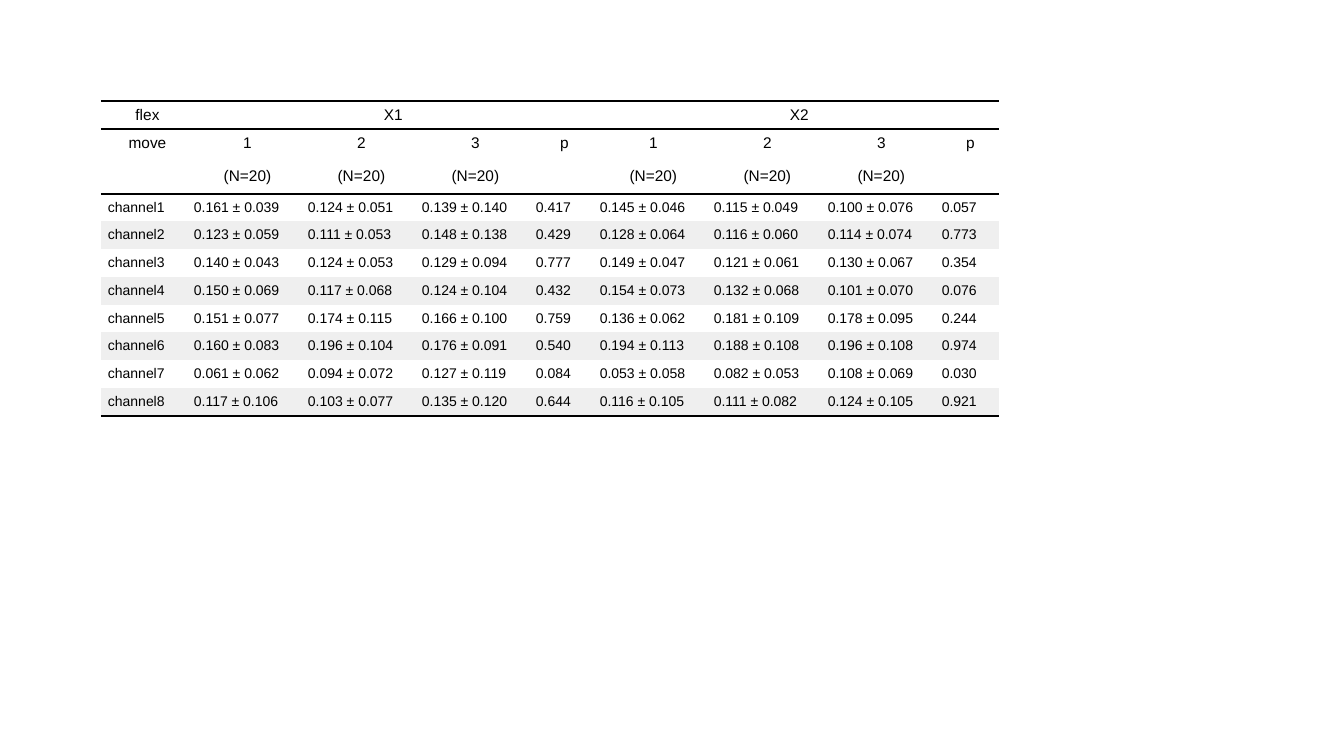
from pptx import Presentation
from pptx import util as u
from pptx.dml.color import RGBColor
from pptx.enum import text
from pptx.oxml import parse_xml
from pptx.oxml.ns import nsdecls

PX = 914400 / 100.8
COLORS = {"ink": "000000", "stripe": "EFEFEF"}


def px(n):
    return u.Emu(round(n * PX))


def add_border(tcPr, side, width):
    if width:
        fill = f'<a:solidFill><a:srgbClr val="{COLORS["ink"]}"/></a:solidFill>'
    else:
        fill = "<a:noFill/>"
    tcPr.append(parse_xml(
        f'<a:ln{side} {nsdecls("a")} w="{u.Pt(width)}">{fill}</a:ln{side}>'))


header = [
    ["flex", "X1", "", "", "", "X2", "", "", ""],
    ["move"] + ["1", "2", "3", "p"] * 2,
    [""] + ["(N=20)", "(N=20)", "(N=20)", ""] * 2,
]
channels = [
    "0.161 ± 0.039|0.124 ± 0.051|0.139 ± 0.140|0.417|0.145 ± 0.046|0.115 ± 0.049|0.100 ± 0.076|0.057",
    "0.123 ± 0.059|0.111 ± 0.053|0.148 ± 0.138|0.429|0.128 ± 0.064|0.116 ± 0.060|0.114 ± 0.074|0.773",
    "0.140 ± 0.043|0.124 ± 0.053|0.129 ± 0.094|0.777|0.149 ± 0.047|0.121 ± 0.061|0.130 ± 0.067|0.354",
    "0.150 ± 0.069|0.117 ± 0.068|0.124 ± 0.104|0.432|0.154 ± 0.073|0.132 ± 0.068|0.101 ± 0.070|0.076",
    "0.151 ± 0.077|0.174 ± 0.115|0.166 ± 0.100|0.759|0.136 ± 0.062|0.181 ± 0.109|0.178 ± 0.095|0.244",
    "0.160 ± 0.083|0.196 ± 0.104|0.176 ± 0.091|0.540|0.194 ± 0.113|0.188 ± 0.108|0.196 ± 0.108|0.974",
    "0.061 ± 0.062|0.094 ± 0.072|0.127 ± 0.119|0.084|0.053 ± 0.058|0.082 ± 0.053|0.108 ± 0.069|0.030",
    "0.117 ± 0.106|0.103 ± 0.077|0.135 ± 0.120|0.644|0.116 ± 0.105|0.111 ± 0.082|0.124 ± 0.105|0.921",
]
rows = header + [[f"channel{i}"] + line.split("|") for i, line in enumerate(channels, 1)]

col_widths = [86] + [114, 114, 114, 64] * 2
row_edges = [101, 129, 158] + [194 + 222 * i // 8 for i in range(9)]
rules = {0: 2, 1: 1, len(header): 2, len(rows): 2}
cell_format = {
    "margin_left": 0, "margin_right": 0, "margin_top": px(3), "margin_bottom": px(3),
    "vertical_anchor": text.MSO_ANCHOR.MIDDLE,
}

prs = Presentation()
prs.slide_width, prs.slide_height = px(1344), px(756)
s = prs.slides.add_slide(prs.slide_layouts[6])
frame = s.shapes.add_table(len(rows), len(col_widths), px(101), px(row_edges[0]),
                           px(sum(col_widths)), px(row_edges[-1] - row_edges[0]))
table = frame.table
table.first_row = table.horz_banding = False
table._tbl.tblPr[0].text = "{2D5ABB26-0587-4C30-8999-92F81FD0307C}"
for column, width in zip(table.columns, col_widths):
    column.width = px(width)
for row, top, bottom in zip(table.rows, row_edges, row_edges[1:]):
    row.height = px(bottom - top)
for first in (1, 5):
    table.cell(0, first).merge(table.cell(0, first + 3))

for r, values in enumerate(rows):
    is_header = r < len(header)
    for c, value in enumerate(values):
        cell = table.cell(r, c)
        for name, setting in cell_format.items():
            setattr(cell, name, setting)
        tcPr = cell._tc.get_or_add_tcPr()
        for side, width in {"L": 0, "R": 0, "T": rules.get(r, 0), "B": rules.get(r + 1, 0)}.items():
            add_border(tcPr, side, width)
        if not is_header and (r - len(header)) % 2:
            cell.fill.solid()
            cell.fill.fore_color.rgb = RGBColor.from_string(COLORS["stripe"])
        else:
            cell.fill.background()
        p = cell.text_frame.paragraphs[0]
        p.alignment = text.PP_ALIGN.CENTER if is_header else text.PP_ALIGN.LEFT
        p.space_before = p.space_after = u.Pt(2)
        p._p.get_or_add_pPr().set("marL", str(px(7)))
        p.font.size = u.Pt(11 if is_header else 10)
        if value:
            run = p.add_run()
            run.text = value
            run.font.name = "Arial"
            run.font.size = u.Pt(11 if is_header else 10)
            run.font.color.rgb = RGBColor.from_string(COLORS["ink"])

prs.save("out.pptx")
